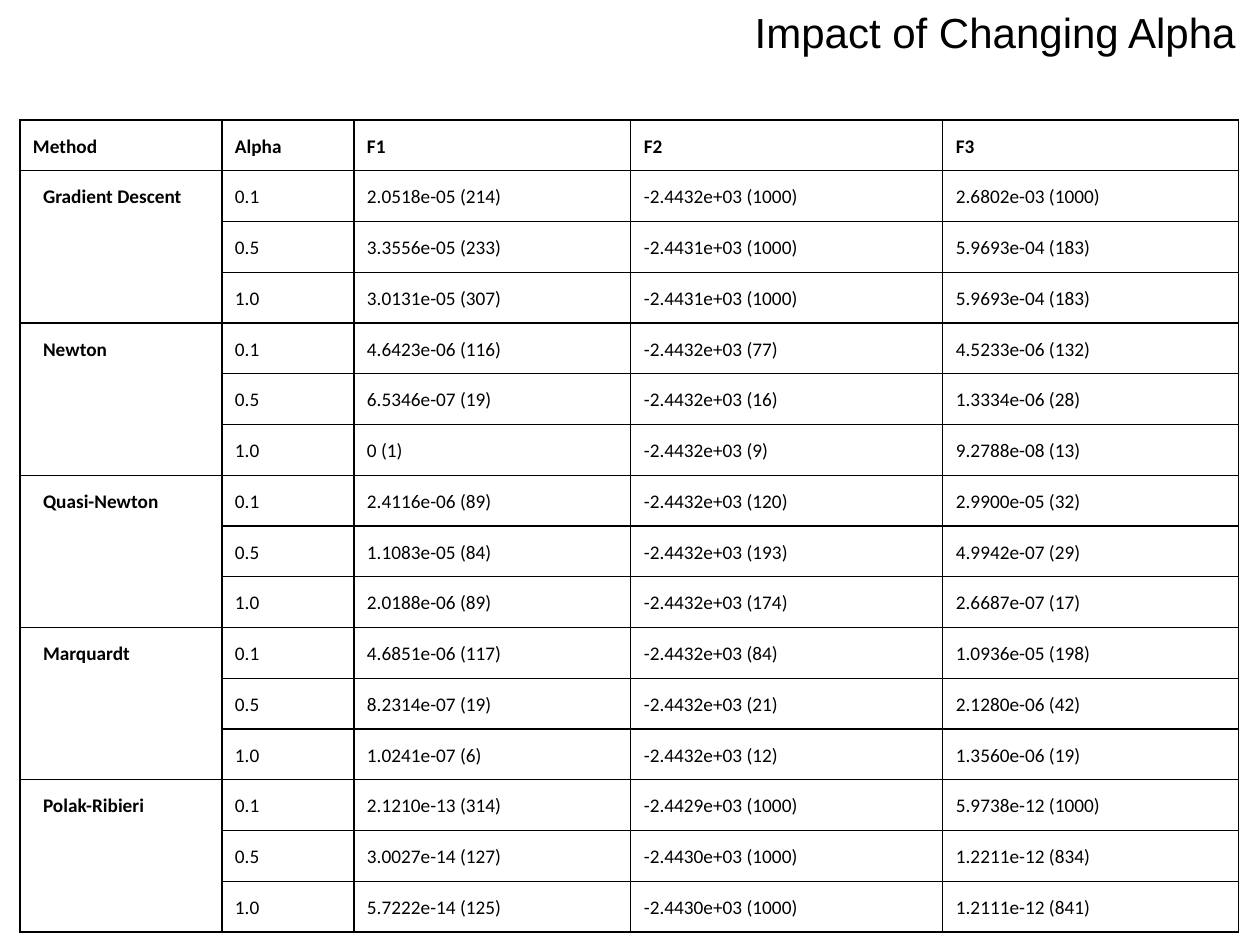
from lxml import etree
from pptx import Presentation, util as u
from pptx.dml.color import RGBColor
from pptx.enum import text
from pptx.oxml.ns import qn

PX = 914400 / 126  # EMU per px
C = {"ink": "000000", "paper": "FFFFFF"}


def px(n):
    return u.Emu(round(n * PX))


def write(tf, words, font="Calibri", size=11, bold=False, align=None, spacing=None, indent=0):
    p = tf.paragraphs[0]
    p.alignment = align
    p.line_spacing = spacing
    if indent:
        p._p.get_or_add_pPr().set("marL", str(px(indent)))
    r = p.add_run()
    r.text = words
    r.font.name, r.font.size, r.font.bold = font, u.Pt(size), bold
    r.font.color.rgb = RGBColor.from_string(C["ink"])


HEADER = ["Method", "Alpha", "F1", "F2", "F3"]
ALPHAS = ["0.1", "0.5", "1.0"]
RESULTS = {
    "Gradient Descent": [
        ["2.0518e-05 (214)", "-2.4432e+03 (1000)", "2.6802e-03 (1000)"],
        ["3.3556e-05 (233)", "-2.4431e+03 (1000)", "5.9693e-04 (183)"],
        ["3.0131e-05 (307)", "-2.4431e+03 (1000)", "5.9693e-04 (183)"],
    ],
    "Newton": [
        ["4.6423e-06 (116)", "-2.4432e+03 (77)", "4.5233e-06 (132)"],
        ["6.5346e-07 (19)", "-2.4432e+03 (16)", "1.3334e-06 (28)"],
        ["0 (1)", "-2.4432e+03 (9)", "9.2788e-08 (13)"],
    ],
    "Quasi-Newton": [
        ["2.4116e-06 (89)", "-2.4432e+03 (120)", "2.9900e-05 (32)"],
        ["1.1083e-05 (84)", "-2.4432e+03 (193)", "4.9942e-07 (29)"],
        ["2.0188e-06 (89)", "-2.4432e+03 (174)", "2.6687e-07 (17)"],
    ],
    "Marquardt": [
        ["4.6851e-06 (117)", "-2.4432e+03 (84)", "1.0936e-05 (198)"],
        ["8.2314e-07 (19)", "-2.4432e+03 (21)", "2.1280e-06 (42)"],
        ["1.0241e-07 (6)", "-2.4432e+03 (12)", "1.3560e-06 (19)"],
    ],
    "Polak-Ribieri": [
        ["2.1210e-13 (314)", "-2.4429e+03 (1000)", "5.9738e-12 (1000)"],
        ["3.0027e-14 (127)", "-2.4430e+03 (1000)", "1.2211e-12 (834)"],
        ["5.7222e-14 (125)", "-2.4430e+03 (1000)", "1.2111e-12 (841)"],
    ],
}
COL_WIDTHS = [202, 132, 277, 312, 296]
ROW_HEIGHT = 50
CELL_MARGIN = 13

prs = Presentation()
prs.slide_width, prs.slide_height = px(1260), px(945)
s = prs.slides.add_slide(prs.slide_layouts[6])

title = s.shapes.add_textbox(px(742), px(0), px(518), px(96))
title.text_frame.word_wrap = True
write(title.text_frame, "Impact of Changing Alpha ", font="Arial", size=24,
      align=text.PP_ALIGN.CENTER)

rows = [HEADER]
for method, values in RESULTS.items():
    for i, (alpha, row) in enumerate(zip(ALPHAS, values)):
        rows.append([method if i == 0 else "", alpha, *row])

table = s.shapes.add_table(len(rows), len(HEADER), px(20), px(120),
                           px(sum(COL_WIDTHS)), px(ROW_HEIGHT * len(rows))).table
table.first_row = table.horz_banding = False
for col, width in zip(table.columns, COL_WIDTHS):
    col.width = px(width)

for i, row in enumerate(rows):
    table.rows[i].height = px(ROW_HEIGHT)
    for j, words in enumerate(row):
        cell = table.cell(i, j)
        cell.margin_left = cell.margin_right = px(CELL_MARGIN)
        cell.margin_top = cell.margin_bottom = px(CELL_MARGIN)
        if words:
            write(cell.text_frame, words, bold=i == 0 or j == 0, spacing=1.07,
                  indent=10 if i and j == 0 else 0)
        tcPr = cell._tc.get_or_add_tcPr()
        for side in ("lnL", "lnR", "lnT", "lnB"):
            ln = etree.SubElement(tcPr, qn("a:" + side), w=str(u.Pt(0.75)))
            fill = etree.SubElement(ln, qn("a:solidFill"))
            etree.SubElement(fill, qn("a:srgbClr"), val=C["ink"])
        cell.fill.solid()
        cell.fill.fore_color.rgb = RGBColor.from_string(C["paper"])

for top in range(1, len(rows), len(ALPHAS)):
    table.cell(top, 0).merge(table.cell(top + len(ALPHAS) - 1, 0))

prs.save("out.pptx")
